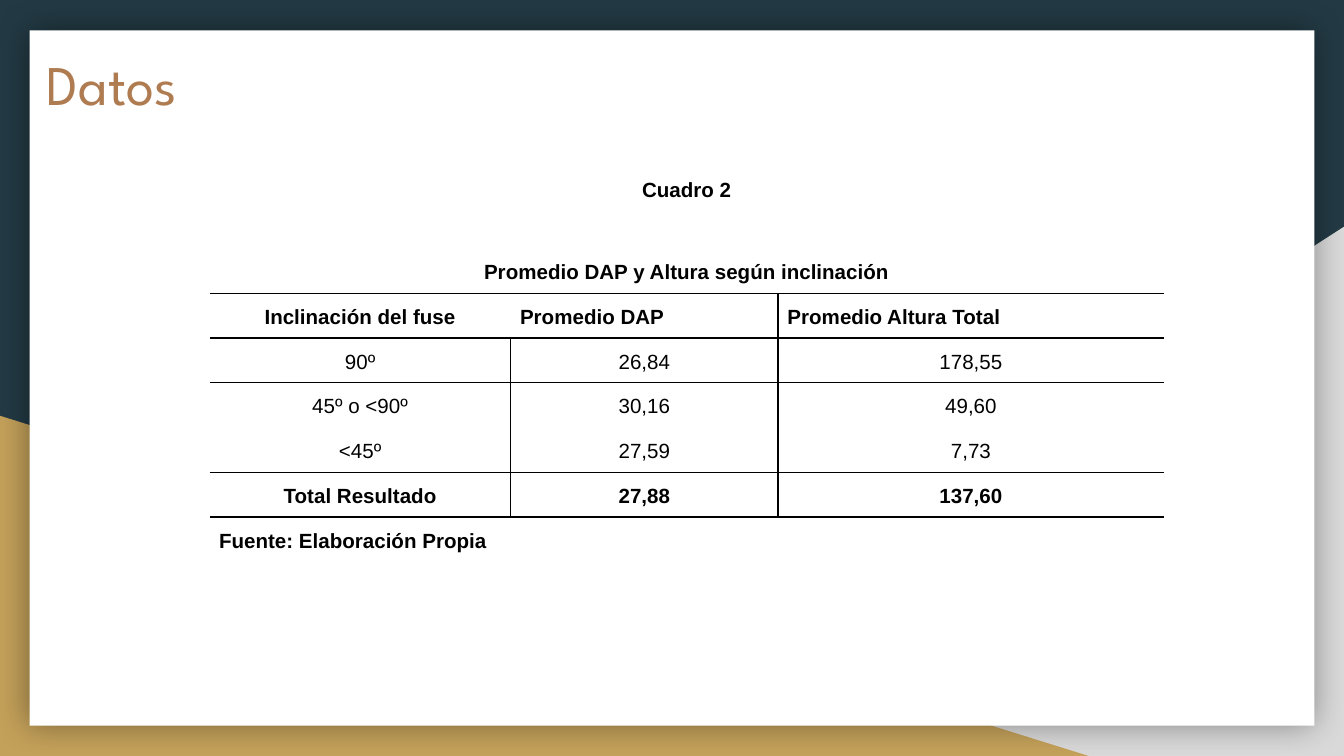
from dataclasses import dataclass

from lxml import etree
from pptx import Presentation
from pptx.dml.color import RGBColor
from pptx.enum.shapes import MSO_SHAPE
from pptx.enum.text import MSO_ANCHOR, PP_ALIGN
from pptx.oxml.ns import qn
from pptx.util import Inches, Pt

RECT = MSO_SHAPE.RECTANGLE
TRIANGLE = MSO_SHAPE.RIGHT_TRIANGLE
CENTER, LEFT = PP_ALIGN.CENTER, PP_ALIGN.LEFT
MIDDLE, TOP = MSO_ANCHOR.MIDDLE, MSO_ANCHOR.TOP

WIDTH = Inches(10)
HEIGHT = WIDTH * 9 // 16
COLUMNS = (2.24, 1.99, 2.87)
CAPTION_HEIGHT, ROW_HEIGHT = Pt(64), Pt(24)
ROWS = (
    ("Cuadro 2",),
    ("Promedio DAP y Altura según inclinación",),
    ("Inclinación del fuse", "Promedio DAP", "Promedio Altura Total"),
    ("90º", "26,84", "178,55"),
    ("45º o <90º", "30,16", "49,60"),
    ("<45º", "27,59", "7,73"),
    ("Total Resultado", "27,88", "137,60"),
    ("Fuente: Elaboración Propia",),
)
HEADER, TOTAL, SOURCE = 2, 6, 7
RULED_TOPS = (2, 3, 4, 6, 7)
DIVIDER_STARTS = {1: 3, 2: 2}


@dataclass(frozen=True)
class Theme:
    navy: str = "233A44"
    grey: str = "D9D9D9"
    gold: str = "C4A15A"
    white: str = "FFFFFF"
    black: str = "000000"
    copper: str = "AF7B51"
    title_font: str = "League Spartan"
    body_font: str = "Arial"
    title_size: int = 30
    body_size: int = 11
    rule: float = 0.75


THEME = Theme()


def rgb(color):
    return RGBColor.from_string(color)


def add_panel(s, kind, box, color, flip=False):
    x, y, w, h = box
    sp = s.shapes.add_shape(kind, int(x * WIDTH), int(y * HEIGHT), int(w * WIDTH), int(h * HEIGHT))
    sp.shadow.inherit = False
    sp.fill.solid()
    sp.fill.fore_color.rgb = rgb(color)
    sp.line.fill.background()
    if flip:
        sp.element.spPr.find(qn("a:xfrm")).set("flipH", "1")
    return sp


def add_glow_shadow(sp, blur, opacity):
    effects = sp.element.spPr.find(qn("a:effectLst"))
    shadow = etree.SubElement(effects, qn("a:outerShdw"), blurRad=str(Pt(blur)),
                              dist="0", dir="0", algn="ctr", rotWithShape="0")
    color = etree.SubElement(shadow, qn("a:srgbClr"), val=THEME.black)
    etree.SubElement(color, qn("a:alpha"), val=str(opacity * 1000))


def style_font(font, name, size, color, bold=False):
    font.name, font.size, font.bold = name, Pt(size), bold
    font.color.rgb = rgb(color)


def add_title(s, text):
    sp = s.shapes.add_textbox(Inches(0.25), Inches(0.27), Inches(8.21), Inches(0.41))
    tf = sp.text_frame
    tf.word_wrap = True
    tf.vertical_anchor = TOP
    tf.margin_left = tf.margin_right = tf.margin_top = tf.margin_bottom = Inches(0.1)
    p = tf.paragraphs[0]
    p.text = text
    style_font(p.font, THEME.title_font, THEME.title_size, THEME.copper)


def has_rule_above(row):
    return row in RULED_TOPS


def has_divider_before(row, col):
    return col in DIVIDER_STARTS and DIVIDER_STARTS[col] <= row <= TOTAL


def set_borders(cell, row, col):
    sides = {
        "L": has_divider_before(row, col),
        "R": has_divider_before(row, col + 1),
        "T": has_rule_above(row),
        "B": has_rule_above(row + 1),
    }
    tc_pr = cell._tc.get_or_add_tcPr()
    for i, (side, visible) in enumerate(sides.items()):
        ln = etree.Element(qn(f"a:ln{side}"), w=str(Pt(THEME.rule)))
        if visible:
            fill = etree.SubElement(ln, qn("a:solidFill"))
            etree.SubElement(fill, qn("a:srgbClr"), val=THEME.black)
        else:
            etree.SubElement(ln, qn("a:noFill"))
        tc_pr.insert(i, ln)


def fill_cell(cell, row, col, text):
    cell.fill.solid()
    cell.fill.fore_color.rgb = rgb(THEME.white)
    cell.vertical_anchor = MIDDLE
    cell.margin_left = cell.margin_right = Inches(0.07)
    cell.margin_top = cell.margin_bottom = Inches(0.06)
    p = cell.text_frame.paragraphs[0]
    p.text = text
    p.line_spacing = 1.15
    p.alignment = LEFT if row == SOURCE or (row == HEADER and col > 0) else CENTER
    bold = not HEADER < row < TOTAL
    style_font(p.font, THEME.body_font, THEME.body_size, THEME.black, bold)
    set_borders(cell, row, col)


def add_data_table(s):
    heights = [CAPTION_HEIGHT] + [ROW_HEIGHT] * (len(ROWS) - 1)
    frame = s.shapes.add_table(len(ROWS), len(COLUMNS), Inches(1.56), Inches(0.96),
                               Inches(sum(COLUMNS)), sum(heights))
    table = frame.table
    table.first_row = table.horz_banding = False
    for column, width in zip(table.columns, COLUMNS):
        column.width = Inches(width)
    for i, (texts, height) in enumerate(zip(ROWS, heights)):
        table.rows[i].height = height
        if len(texts) == 1:
            table.cell(i, 0).merge(table.cell(i, len(COLUMNS) - 1))
        for j in range(len(COLUMNS)):
            fill_cell(table.cell(i, j), i, j, texts[j] if j < len(texts) else "")


def main():
    prs = Presentation()
    prs.slide_width, prs.slide_height = WIDTH, HEIGHT
    s = prs.slides.add_slide(prs.slide_layouts[6])
    s.background.fill.solid()
    s.background.fill.fore_color.rgb = rgb(THEME.navy)
    add_panel(s, TRIANGLE, (0.39, 0.3, 0.61, 0.7), THEME.grey, flip=True)
    add_panel(s, TRIANGLE, (0, 0.55, 0.81, 0.45), THEME.gold)
    page = add_panel(s, RECT, (0.022, 0.04, 0.956, 0.92), THEME.white)
    add_glow_shadow(page, blur=18, opacity=40)
    add_title(s, "Datos")
    add_data_table(s)
    prs.save("out.pptx")


if __name__ == "__main__":
    main()
